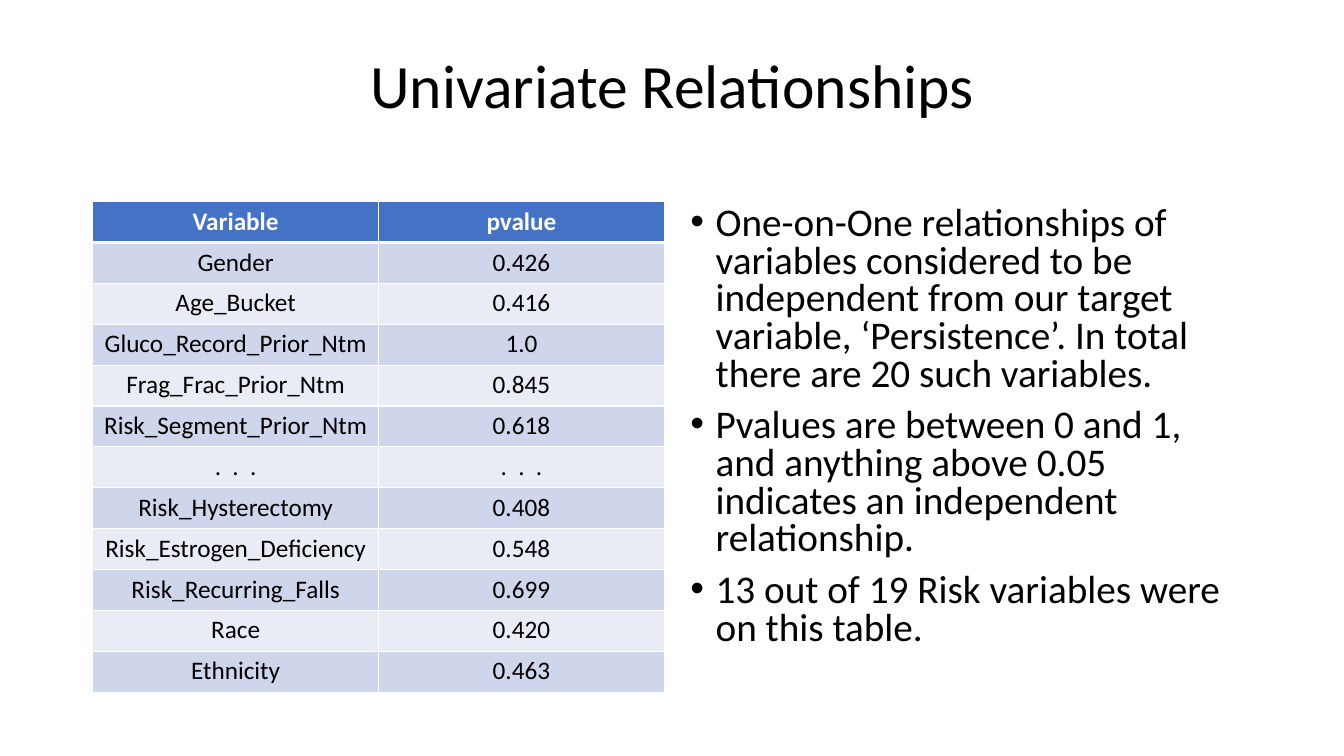
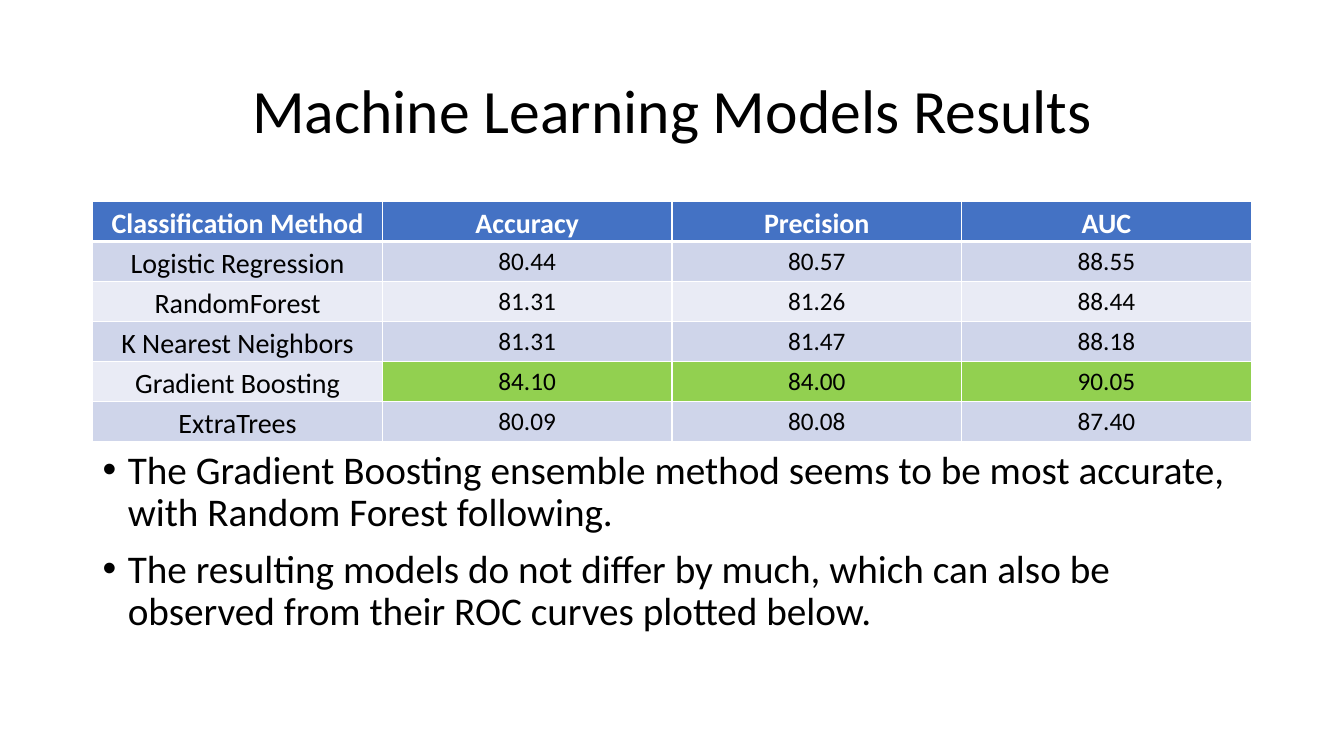
from pptx import Presentation
from pptx.dml.color import RGBColor
from pptx.enum import text as t
from pptx.oxml import parse_xml
from pptx.oxml.ns import nsdecls
from pptx.util import Inches, Pt

FONT = "Calibri"
BLACK, WHITE, BLUE, GREEN = "000000", "FFFFFF", "4472C4", "92D050"
BANDS = ("CFD5EA", "E9EBF5")
LEFT, TOP = 0.92, 2
DOTS = ".  .  ."

PVALUES = [
    ("Variable", "pvalue"),
    ("Gender", "0.426"),
    ("Age_Bucket", "0.416"),
    ("Gluco_Record_Prior_Ntm", "1.0"),
    ("Frag_Frac_Prior_Ntm", "0.845"),
    ("Risk_Segment_Prior_Ntm", "0.618"),
    (DOTS, DOTS),
    ("Risk_Hysterectomy", "0.408"),
    ("Risk_Estrogen_Deficiency", "0.548"),
    ("Risk_Recurring_Falls", "0.699"),
    ("Race", "0.420"),
    ("Ethnicity", "0.463"),
]
SCORES = [
    ("Classification Method", "Accuracy", "Precision", "AUC"),
    ("Logistic Regression", "80.44", "80.57", "88.55"),
    ("RandomForest", "81.31", "81.26", "88.44"),
    ("K Nearest Neighbors", "81.31", "81.47", "88.18"),
    ("Gradient Boosting", "84.10", "84.00", "90.05"),
    ("ExtraTrees", "80.09", "80.08", "87.40"),
]


def rgb(code):
    """Turn a hex string into a colour."""
    return RGBColor.from_string(code)


def write(para, words, size=18, color=BLACK, bold=False, align=None,
          space=1.0, before=0):
    """Put formatted text in a paragraph."""
    para.alignment = align
    para.line_spacing = space
    para.space_before = Pt(before)
    run = para.add_run()
    run.text = words
    run.font.name = FONT
    run.font.size = Pt(size)
    run.font.bold = bold
    run.font.color.rgb = rgb(color)


def add_box(slide, left, top, width, height):
    """Add a wrapping text box and return its frame."""
    box = slide.shapes.add_textbox(
        Inches(left), Inches(top), Inches(width), Inches(height))
    box.text_frame.word_wrap = True
    return box.text_frame


def add_title(slide, words, height):
    """Add the centred slide title."""
    frame = add_box(slide, LEFT, 0.4, 11.5, height)
    frame.vertical_anchor = t.MSO_ANCHOR.MIDDLE
    write(frame.paragraphs[0], words, size=44, space=0.9,
          align=t.PP_ALIGN.CENTER)


def add_list(slide, items, left, top, width, height, space):
    """Add a bulleted list."""
    frame = add_box(slide, left, top, width, height)
    for i, item in enumerate(items):
        para = frame.add_paragraph() if i else frame.paragraphs[0]
        write(para, item, size=28, space=space, before=10)
        props = para._p.get_or_add_pPr()
        props.set("marL", str(Inches(0.25)))
        props.set("indent", str(-Inches(0.25)))
        props.append(parse_xml(
            f'<a:buFont {nsdecls("a")} typeface="Arial"/>'))
        props.append(parse_xml(
            f'<a:buChar {nsdecls("a")} char="\u2022"/>'))


def add_edges(cell, top, bottom):
    """Draw white cell borders, 1 point wide at the sides."""
    props = cell._tc.get_or_add_tcPr()
    for side, width in zip("LRTB", (1, 1, top, bottom)):
        props.append(parse_xml(
            f'<a:ln{side} {nsdecls("a")} w="{Pt(width)}"><a:solidFill>'
            f'<a:srgbClr val="{WHITE}"/></a:solidFill></a:ln{side}>'))


def add_grid(slide, data, width, height, label=18, inset=0.07, best=None):
    """Add a banded table; header and first column use the label style."""
    rows, cols = len(data), len(data[0])
    grid = slide.shapes.add_table(
        rows, cols, Inches(LEFT), Inches(TOP),
        Inches(width), Inches(height)).table
    for r, line in enumerate(data):
        for c, words in enumerate(line):
            cell = grid.cell(r, c)
            head = r == 0
            named = head or c == 0
            add_edges(cell, 3 if r == 1 else 1, 3 if head else 1)
            fill = BLUE if head else BANDS[(r - 1) % 2]
            if r == best and c:
                fill = GREEN
            cell.fill.solid()
            cell.fill.fore_color.rgb = rgb(fill)
            if words != DOTS:
                cell.margin_top = cell.margin_bottom = 0
                side = Inches(inset if named else 0.07)
                cell.margin_left = cell.margin_right = side
            write(cell.text_frame.paragraphs[0], words,
                  size=label if named else 18,
                  color=WHITE if head else BLACK, bold=head,
                  align=t.PP_ALIGN.CENTER,
                  space=1.0 if words == DOTS else 1.15)


def main():
    """Build and save both slides."""
    deck = Presentation()
    deck.slide_width, deck.slide_height = Inches(13.33), Inches(7.5)
    blank = deck.slide_layouts[6]

    slide = deck.slides.add_slide(blank)
    add_title(slide, "Univariate Relationships", 0.95)
    add_grid(slide, PVALUES, 5.67, 4.87)
    add_list(slide, [
        "One-on-One relationships of variables considered to be independent "
        "from our target variable, \u2018Persistence\u2019. In total there "
        "are 20 such variables.",
        "Pvalues are between 0 and 1, and anything above 0.05 indicates an "
        "independent relationship.",
        "13 out of 19 Risk variables were on this table.",
    ], 6.75, TOP, 5.67, 4.76, space=0.8)

    slide = deck.slides.add_slide(blank)
    add_title(slide, "Machine Learning Models Results", 1.45)
    add_grid(slide, SCORES, 11.49, 2.38, label=20, inset=0.04, best=4)
    add_list(slide, [
        "The Gradient Boosting ensemble method seems to be most accurate, "
        "with Random Forest following.",
        "The resulting models do not differ by much, which can also be "
        "observed from their ROC curves plotted below.",
    ], LEFT, 4.42, 11.5, 2.33, space=0.9)

    deck.save("out.pptx")


main()
